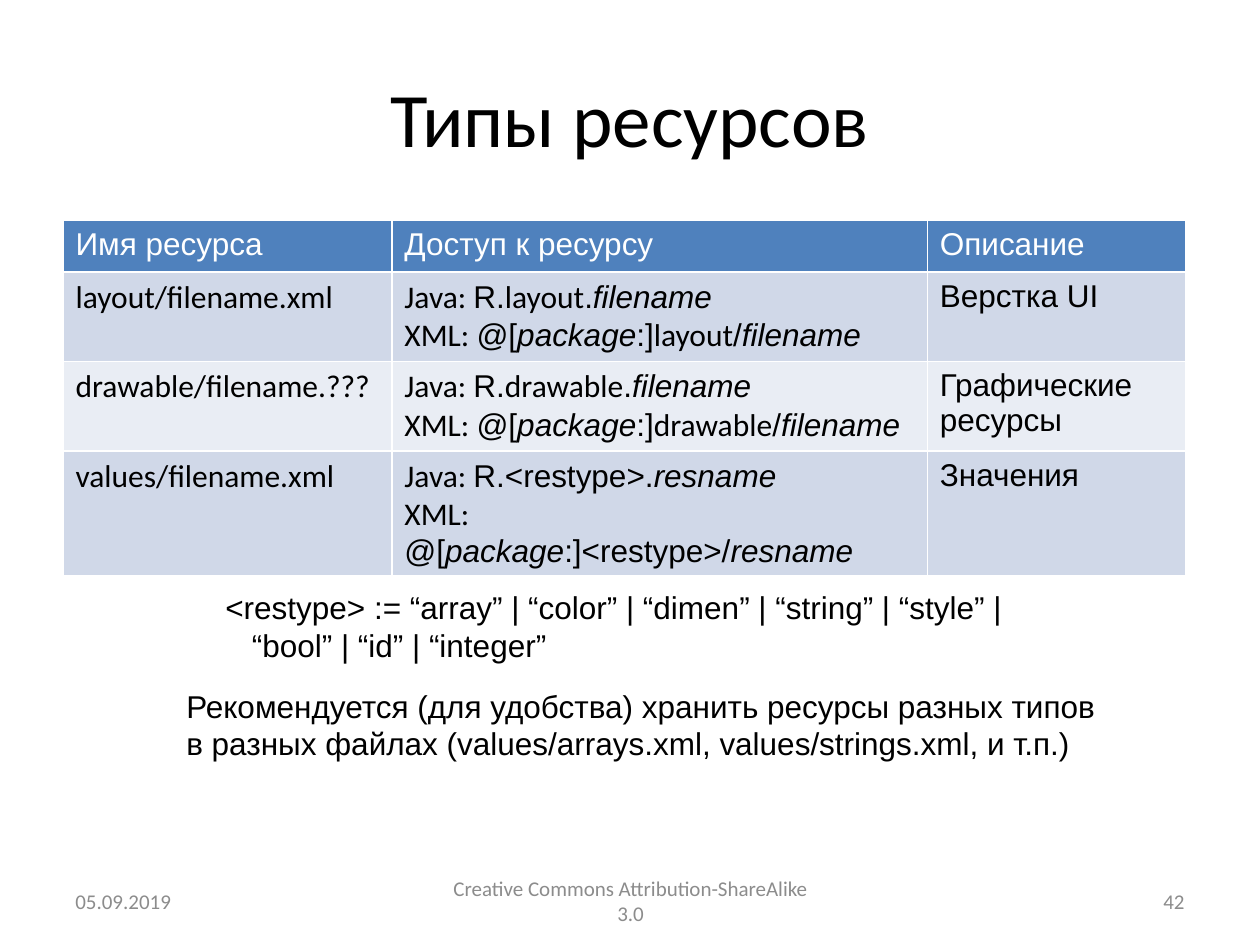
from pptx import Presentation
from pptx.dml.color import RGBColor
from pptx.enum.text import MSO_ANCHOR, PP_ALIGN
from pptx.util import Inches, Pt

LEFT, MID, RIGHT = PP_ALIGN.LEFT, PP_ALIGN.CENTER, PP_ALIGN.RIGHT
TOP, CENTER = MSO_ANCHOR.TOP, MSO_ANCHOR.MIDDLE
SANS, BODY = "Arial", "Calibri"
COLORS = {"ink": "000000", "white": "FFFFFF", "gray": "8C8C8C",
          "head": "4F81BD", "odd": "D0D8E8", "even": "E9EDF4"}

# Content: a cell is a list of lines, a line is a list of (style, text)
# Styles: a = Arial, i = Arial italic, c = Calibri
HEAD = ["Имя ресурса", "Доступ к ресурсу", "Описание"]
JAVA = ("c", "Java: ")
XML = [("c", "XML: "), ("a", "@["), ("i", "package")]


def access(kind):
    return [[JAVA, ("a", "R."), ("c", kind), ("a", "."), ("i", "filename")],
            XML + [("a", ":]"), ("c", kind), ("a", "/"), ("i", "filename")]]


TYPES = [
    ("layout/filename.xml", access("layout"), "Верстка UI"),
    ("drawable/filename.???", access("drawable"), "Графические ресурсы"),
    ("values/filename.xml",
     [[JAVA, ("a", "R.<restype>."), ("i", "resname")],
      XML + [("a", ":]<restype>/"), ("i", "resname")]],
     "Значения"),
]
ROWS = [[[[("a", name)]] for name in HEAD]]
ROWS += [[[[("c", name)]], lines, [[("a", note)]]] for name, lines, note in TYPES]
COLS = [2.61, 4.25, 2.05]
HIGH = [0.41, 0.7, 0.7, 0.7]

# Boxes: place, lines, font, size, color, align, anchor, wrap
FOOT, FOOT_H = 6.95, 0.4
BOXES = [
    ((0.5, 0.3, 9, 1.25), ["Типы ресурсов"], BODY, 44, "ink", MID, CENTER, True),
    ((0.5, FOOT, 2.33, FOOT_H), ["05.09.2019"], BODY, 12, "gray", LEFT, CENTER, True),
    ((3.42, FOOT, 3.17, FOOT_H), ["Creative Commons Attribution-ShareAlike 3.0"],
     BODY, 12, "gray", MID, CENTER, True),
    ((7.17, FOOT, 2.33, FOOT_H), ["42"], BODY, 12, "gray", RIGHT, CENTER, True),
    ((1.69, 4.62, 6.42, 0.71),
     ["<restype> := “array” | “color” | “dimen” | “string” | “style” |",
      "“bool” | “id” | “integer”"], SANS, 18, "ink", LEFT, TOP, False),
    ((1.38, 5.4, 7.49, 0.71),
     ["Рекомендуется (для удобства) хранить ресурсы разных типов\v"
      "в разных файлах (values/arrays.xml, values/strings.xml, и т.п.)"],
     SANS, 18, "ink", LEFT, TOP, False),
]
INDENT = 0.21  # later lines of a list


def tint(name):
    return RGBColor.from_string(COLORS[name])


def style(font, size, color, face=None):
    font.size, font.bold = Pt(size), False
    font.color.rgb = tint(color)
    if face:
        font.name = face


def add_box(slide, place, lines, face, size, color, align, anchor, wrap):
    frame = slide.shapes.add_textbox(*map(Inches, place)).text_frame
    frame.word_wrap, frame.vertical_anchor = wrap, anchor
    for n, line in enumerate(lines):
        para = frame.add_paragraph() if n else frame.paragraphs[0]
        para.text, para.alignment = line, align
        style(para.font, size, color, face)
        if n:
            para._p.get_or_add_pPr().set("marL", str(Inches(INDENT)))


def fill_cell(cell, lines, back, color):
    cell.fill.solid()
    cell.fill.fore_color.rgb = tint(back)
    for n, line in enumerate(lines):
        frame = cell.text_frame
        para = frame.add_paragraph() if n else frame.paragraphs[0]
        style(para.font, 18, color)
        for kind, text in line:
            run = para.add_run()
            run.text = text
            style(run.font, 18, color, BODY if kind == "c" else SANS)
            run.font.italic = kind == "i"


def add_grid(slide):
    grid = slide.shapes.add_table(len(ROWS), len(COLS), Inches(0.5), Inches(1.75),
                                  Inches(sum(COLS)), Inches(sum(HIGH))).table
    for col, width in zip(grid.columns, COLS):
        col.width = Inches(width)
    for r, cells in enumerate(ROWS):
        grid.rows[r].height = Inches(HIGH[r])
        back = "odd" if r % 2 else "even" if r else "head"
        for c, lines in enumerate(cells):
            fill_cell(grid.cell(r, c), lines, back, "ink" if r else "white")


def main():
    deck = Presentation()
    deck.slide_width, deck.slide_height = Inches(10), Inches(7.5)
    slide = deck.slides.add_slide(deck.slide_layouts[6])
    add_grid(slide)
    for box in BOXES:
        add_box(slide, *box)
    deck.save("out.pptx")


if __name__ == "__main__":
    main()
